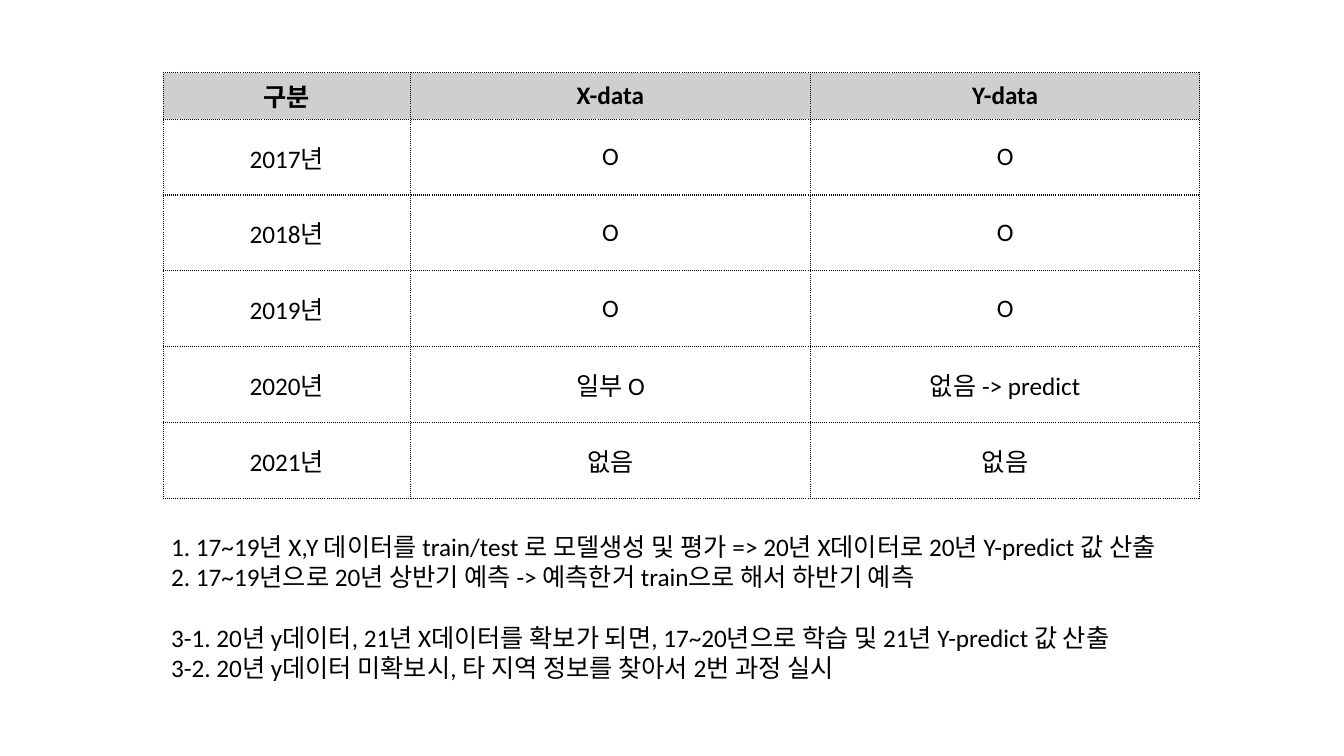
from dataclasses import dataclass

from lxml import etree
from pptx import Presentation
from pptx.dml.color import RGBColor
from pptx.enum.text import MSO_ANCHOR, MSO_AUTO_SIZE, PP_ALIGN
from pptx.oxml.ns import qn
from pptx.util import Inches, Pt

MIDDLE = MSO_ANCHOR.MIDDLE
CENTER = PP_ALIGN.CENTER
GROW = MSO_AUTO_SIZE.SHAPE_TO_FIT_TEXT


@dataclass(frozen=True)
class Theme:
    font: str = "Calibri"
    ink: str = "000000"
    head: str = "D0CECE"
    size: float = 18
    gap: float = 22
    line: float = 1
    dash: str = "sysDot"


class Page:
    """One slide; lengths are percent of its width and height."""

    def __init__(self, deck, theme):
        self.deck = deck
        self.theme = theme
        self.slide = deck.slides.add_slide(deck.slide_layouts[6])

    def across(self, share):
        return round(self.deck.slide_width * share / 100)

    def down(self, share):
        return round(self.deck.slide_height * share / 100)

    def style(self, para, bold=False):
        for run in para.runs:
            run.font.name = self.theme.font
            run.font.size = Pt(self.theme.size)
            run.font.bold = bold
            run.font.color.rgb = RGBColor.from_string(self.theme.ink)

    def border(self, cell):
        props = cell._tc.get_or_add_tcPr()
        for side in ("a:lnL", "a:lnR", "a:lnT", "a:lnB"):
            line = etree.SubElement(props, qn(side), w=str(Pt(self.theme.line)))
            fill = etree.SubElement(line, qn("a:solidFill"))
            etree.SubElement(fill, qn("a:srgbClr"), val=self.theme.ink)
            etree.SubElement(line, qn("a:prstDash"), val=self.theme.dash)

    def table(self, left, top, cols, rows, data):
        grid = self.slide.shapes.add_table(
            len(rows), len(cols), self.across(left), self.down(top),
            self.across(sum(cols)), self.down(sum(rows))).table
        grid.first_row = grid.horz_banding = False
        for col, share in zip(grid.columns, cols):
            col.width = self.across(share)
        for row, share in zip(grid.rows, rows):
            row.height = self.down(share)
        for r, words in enumerate(data):
            for c, word in enumerate(words):
                self.cell(grid.cell(r, c), word, r == 0)

    def cell(self, cell, word, head):
        self.border(cell)
        if head:
            cell.fill.solid()
            cell.fill.fore_color.rgb = RGBColor.from_string(self.theme.head)
        else:
            cell.fill.background()
        cell.vertical_anchor = MIDDLE
        para = cell.text_frame.paragraphs[0]
        para.text = word
        para.alignment = CENTER
        self.style(para, head)

    def notes(self, left, top, width, height, groups):
        frame = self.slide.shapes.add_textbox(
            self.across(left), self.down(top),
            self.across(width), self.down(height)).text_frame
        frame.word_wrap = True
        frame.auto_size = GROW
        frame.text = "\n".join(line for group in groups for line in group)
        for para in frame.paragraphs:
            self.style(para)
        # A one-line gap opens each later group
        start = 0
        for group in groups[:-1]:
            start += len(group)
            frame.paragraphs[start].space_before = Pt(self.theme.gap)


def main():
    deck = Presentation()
    deck.slide_width, deck.slide_height = Inches(13.33), Inches(7.5)
    page = Page(deck, Theme())

    # Data held for each year
    marks = [("O", "O")] * 3 + [("일부 O", "없음 -> predict"), ("없음", "없음")]
    years = [(f"{2017 + i}년", *pair) for i, pair in enumerate(marks)]
    page.table(12.15, 9.6, [18.38, 29.78, 28.96], [6.13] + [10.03] * len(years),
               [("구분", "X-data", "Y-data"), *years])

    # Steps of the plan
    page.notes(12, 69.6, 80.2, 21.6, [
        ["1. 17~19년 X,Y 데이터를 train/test 로 모델생성 및 평가 => 20년 X데이터로 20년 Y-predict 값 산출",
         "2. 17~19년으로 20년 상반기 예측 -> 예측한거 train으로 해서 하반기 예측"],
        ["3-1. 20년 y데이터, 21년 X데이터를 확보가 되면, 17~20년으로 학습 및 21년 Y-predict 값 산출",
         "3-2. 20년 y데이터 미확보시, 타 지역 정보를 찾아서 2번 과정 실시"],
    ])
    deck.save("out.pptx")


if __name__ == "__main__":
    main()
